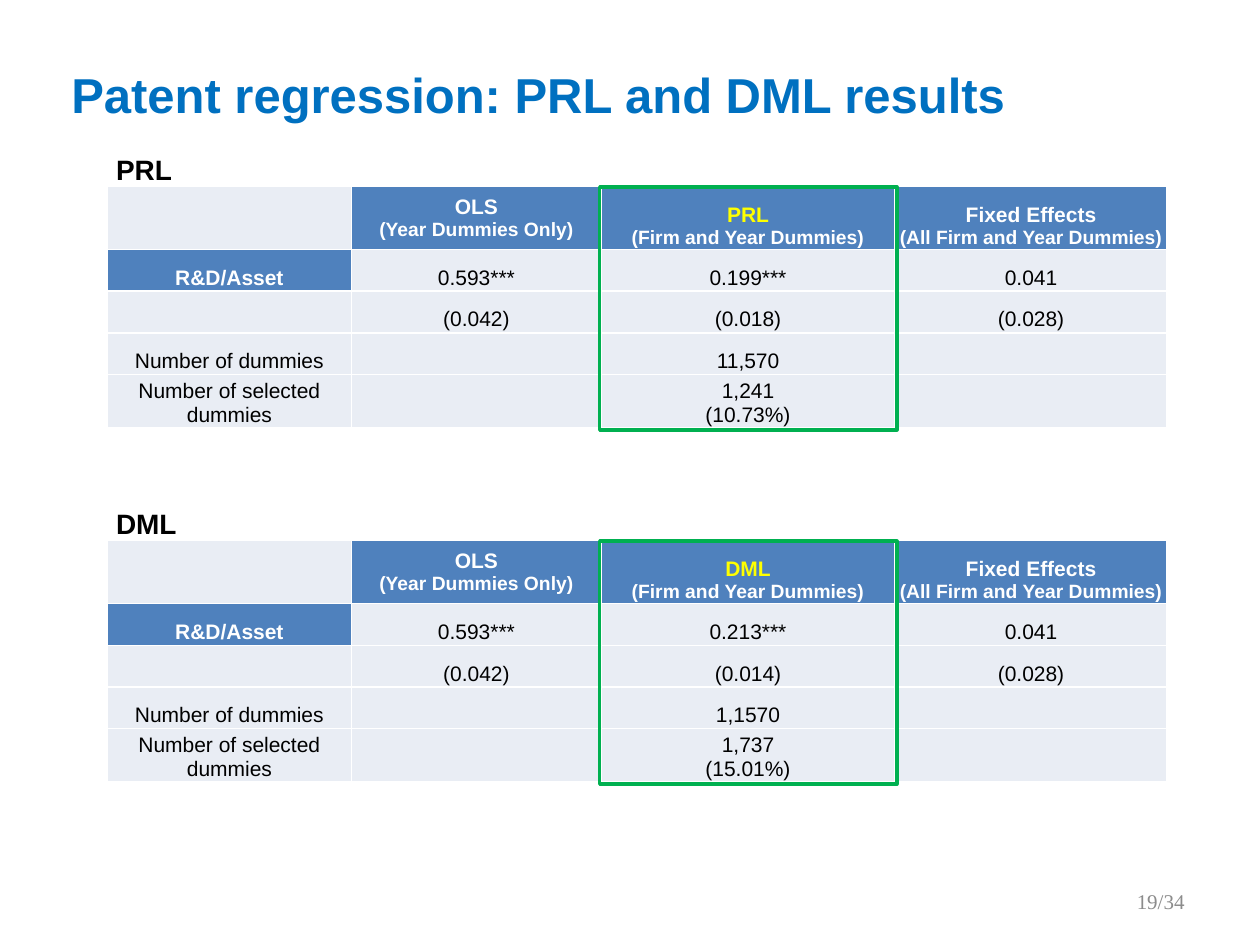
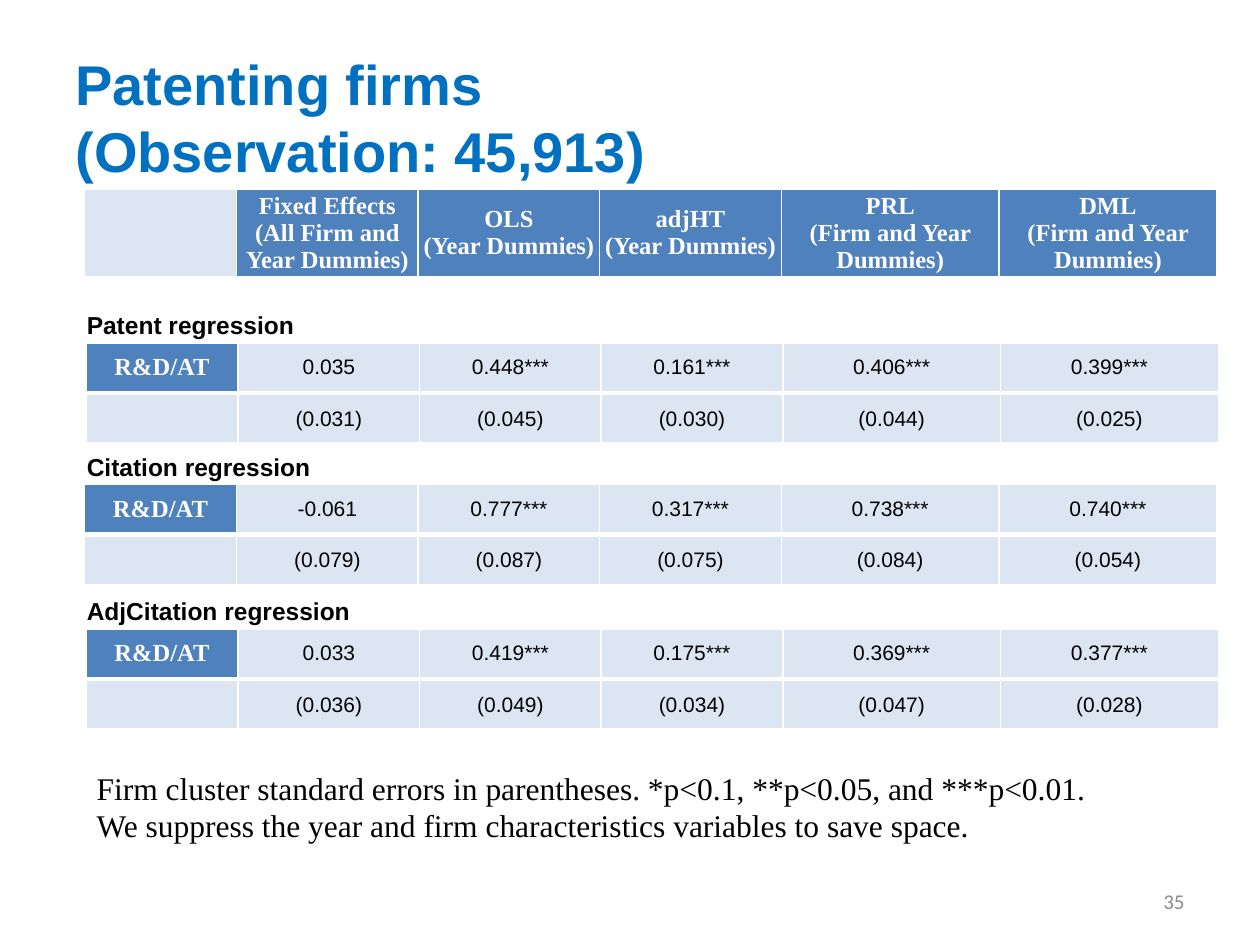
from lxml.etree import SubElement
from pptx import Presentation
from pptx.dml.color import RGBColor
from pptx.enum.shapes import MSO_SHAPE as Shape
from pptx.enum.text import MSO_ANCHOR as Anchor, PP_ALIGN as Align
from pptx.oxml.ns import qn
from pptx.util import Cm, Pt

# Shared colours and fonts
hex_color = RGBColor.from_string
TITLE_BLUE, HEAD_BLUE = "0070C0", "4F81BD"
WHITE, BLACK, GREY = "FFFFFF", "000000", "8C8C8C"
YELLOW, GREEN = "FFFF00", "00B050"
SERIF = "Times New Roman"


def write(frame, text, size=12, font="Arial", color=BLACK, bold=False, align=Align.LEFT,
          anchor=Anchor.TOP, wrap=True):
    frame.text = text
    frame.word_wrap = wrap
    frame.vertical_anchor = anchor
    for paragraph in frame.paragraphs:
        paragraph.alignment = align
        for run in paragraph.runs:
            run.font.size = Pt(size)
            run.font.name = font
            run.font.bold = bold
            run.font.color.rgb = hex_color(color)


def add_grid(slide, rows, left, top, widths, heights, pale, header_row=None,
             head_font="Arial", head_size=12, anchor=Anchor.MIDDLE, rule=1):
    table = slide.shapes.add_table(len(rows), len(widths), Cm(left), Cm(top),
                                   Cm(sum(widths)), Cm(sum(heights))).table
    table.first_row = table.horz_banding = False
    for column, width in zip(table.columns, widths):
        column.width = Cm(width)
    for row_index, (texts, height) in enumerate(zip(rows, heights)):
        table.rows[row_index].height = Cm(height)
        for column_index, text in enumerate(texts):
            cell = table.cell(row_index, column_index)
            cell.margin_left = cell.margin_right = Cm(0.05)
            cell.margin_top = cell.margin_bottom = Cm(0.03)
            # White borders come before the fill in the cell properties
            properties = cell._tc.get_or_add_tcPr()
            for side, points in (("L", 1), ("R", 1), ("T", rule), ("B", rule)):
                border = SubElement(properties, qn(f"a:ln{side}"), w=str(Pt(points)))
                solid = SubElement(border, qn("a:solidFill"))
                SubElement(solid, qn("a:srgbClr"), val=WHITE)
            is_head = text and (row_index == header_row or text.startswith("R&D"))
            cell.fill.solid()
            cell.fill.fore_color.rgb = hex_color(HEAD_BLUE if is_head else pale)
            cell.vertical_anchor = anchor
            if is_head:
                write(cell.text_frame, text, size=head_size, font=head_font, color=WHITE,
                      bold=True, align=Align.CENTER, anchor=None)
            elif text:
                write(cell.text_frame, text, align=Align.CENTER, anchor=None)
            cell.vertical_anchor = anchor
    return table


presentation = Presentation()
presentation.slide_width, presentation.slide_height = Cm(25.4), Cm(19.05)

# Titles and page numbers
slides = []
for title, size, title_box, number, number_font in (
    ("Patent regression: PRL and DML results", 28, (1.19, 0.79, 22.86, 2.21), "19/34", SERIF),
    ("Patenting firms\n(Observation: 45,913)", 32, (1.27, 0.76, 22.86, 3.18), "35", "Calibri"),
):
    slide = presentation.slides.add_slide(presentation.slide_layouts[6])
    slides.append(slide)
    box = slide.shapes.add_textbox(*map(Cm, title_box))
    write(box.text_frame, title, size=size, color=TITLE_BLUE, bold=True, anchor=Anchor.MIDDLE)
    box = slide.shapes.add_textbox(Cm(18.21), Cm(17.65), Cm(5.92), Cm(1.02))
    write(box.text_frame, number, font=number_font, color=GREY, align=Align.RIGHT,
          anchor=Anchor.MIDDLE)
results_slide, firms_slide = slides

# Slide 1: one table per method, with the method's column framed
for method, top, estimate, error, dummies, selected in (
    ("PRL", 3.02, "0.199***", "(0.018)", "11,570", "1,241\n(10.73%)"),
    ("DML", 10.16, "0.213***", "(0.014)", "1,1570", "1,737\n(15.01%)"),
):
    rows = [
        [method, "", "", ""],
        ["", "OLS\n(Year Dummies Only)", f"{method}\n(Firm and Year Dummies)",
         "Fixed Effects\n(All Firm and Year Dummies)"],
        ["R&D/Asset", "0.593***", estimate, "0.041"],
        ["", "(0.042)", error, "(0.028)"],
        ["Number of dummies", "", dummies, ""],
        ["Number of selected dummies", "", selected, ""],
    ]
    table = add_grid(results_slide, rows, 2.16, top, [4.93, 5.03, 5.92, 5.49],
                     [0.74, 1.27, 0.84, 0.84, 0.84, 1.05], "E9EDF4", header_row=1,
                     anchor=Anchor.BOTTOM)

    # Method name across the top
    label = table.cell(0, 0)
    label.merge(table.cell(0, 3))
    label.fill.fore_color.rgb = hex_color(WHITE)
    label.margin_left = Cm(0.18)
    label.margin_top = label.margin_bottom = 0
    write(label.text_frame, method, size=16, bold=True, anchor=None)

    # Smaller second lines, and the method in yellow
    for column in range(1, 4):
        table.cell(1, column).text_frame.paragraphs[1].runs[0].font.size = Pt(11)
    table.cell(1, 1).vertical_anchor = Anchor.MIDDLE
    method_run = table.cell(1, 2).text_frame.paragraphs[0].runs[0]
    method_run.font.color.rgb = hex_color(YELLOW)

    frame = results_slide.shapes.add_shape(Shape.RECTANGLE, Cm(12.09), Cm(top + 0.75),
                                           Cm(5.99), Cm(4.9))
    frame.shadow.inherit = False
    frame.fill.background()
    frame.line.color.rgb = hex_color(GREEN)
    frame.line.width = Pt(2)

# Slide 2: shared column heads
firm_widths = [3.07] + [3.66] * 3 + [4.39] * 2
firm_style = dict(pale="DCE6F2", head_font=SERIF, head_size=14, rule=3)
heads = ["", "Fixed Effects\n(All Firm and Year Dummies)", "OLS\n(Year Dummies)",
         "adjHT\n(Year Dummies)", "PRL\n(Firm and Year Dummies)", "DML\n(Firm and Year Dummies)"]
add_grid(firms_slide, [heads], 1.7, 3.78, firm_widths, [1.82], header_row=0, **firm_style)

# Slide 2: one labelled table per regression
for name, left, top, estimates, errors in (
    ("Patent", 1.73, 6.88, ["0.035", "0.448***", "0.161***", "0.406***", "0.399***"],
     ["(0.031)", "(0.045)", "(0.030)", "(0.044)", "(0.025)"]),
    ("Citation", 1.7, 9.74, ["-0.061", "0.777***", "0.317***", "0.738***", "0.740***"],
     ["(0.079)", "(0.087)", "(0.075)", "(0.084)", "(0.054)"]),
    ("AdjCitation", 1.73, 12.65, ["0.033", "0.419***", "0.175***", "0.369***", "0.377***"],
     ["(0.036)", "(0.049)", "(0.034)", "(0.047)", "(0.028)"]),
):
    add_grid(firms_slide, [["R&D/AT"] + estimates, [""] + errors], left, top, firm_widths,
             [1.04, 1.04], **firm_style)
    box = firms_slide.shapes.add_textbox(Cm(1.5), Cm(top - 0.75), Cm(12.7), Cm(0.86))
    write(box.text_frame, f"{name} regression", size=14, bold=True)

# Slide 2: notes under the tables
box = firms_slide.shapes.add_textbox(Cm(1.7), Cm(15.37), Cm(20.8), Cm(2.57))
write(box.text_frame,
      "Firm cluster standard errors in parentheses. *p<0.1, **p<0.05, and ***p<0.01.\n"
      "We suppress the year and firm characteristics variables to save space.",
      size=18, font=SERIF, wrap=False)

presentation.save("out.pptx")
